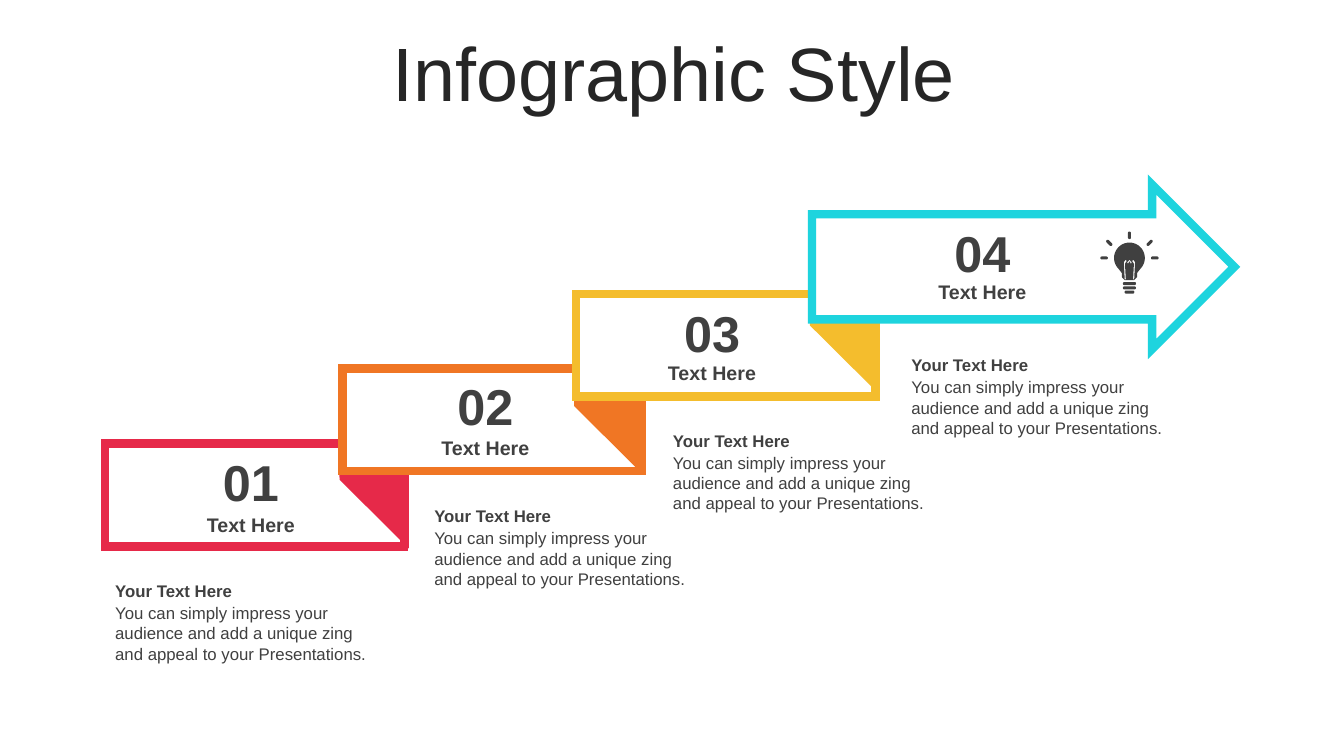
from math import cos, radians, sin

from lxml.etree import SubElement
from pptx import Presentation
from pptx.dml.color import RGBColor
from pptx.enum.shapes import MSO_SHAPE
from pptx.enum.text import MSO_ANCHOR, MSO_AUTO_SIZE, PP_ALIGN
from pptx.oxml.ns import qn
from pptx.util import Pt

WHITE = RGBColor(0xFF, 0xFF, 0xFF)
INK = RGBColor(0x26, 0x26, 0x26)
GREY = RGBColor(0x40, 0x40, 0x40)
RED = RGBColor(0xE6, 0x29, 0x49)
ORANGE = RGBColor(0xF0, 0x76, 0x24)
YELLOW = RGBColor(0xF4, 0xBD, 0x2D)
CYAN = RGBColor(0x1E, 0xD4, 0xDE)

BODY = ("You can simply impress your audience and add a unique zing "
        "and appeal to your Presentations.")
BAND_SIZE = (213.8, 73.4)
FOLD = [(0, 0), (43.9, 43.2), (43.9, 116.6), (0.4, 73.4)]
BANDS = [
    (RED, (75, 316.9), (245.1, 268)),
    (ORANGE, (244.8, 263.1), (412.7, 215.4)),
    (YELLOW, (411.5, 209.9), (581.1, 157.8)),
]
STEPS = [
    ("01", 179.2, 318.6, 362.9, (75.2, 411.2, 203.8)),
    ("02", 346.7, 264.4, 307.6, (303.1, 357.8, 195.1)),
    ("03", 508.6, 212.1, 254.2, (473.6, 303.8, 195.1)),
    ("04", 701.7, 154.9, 196.6, (643.9, 250, 195.1)),
]
BULB = (806.8, 184.3)
RAYS = [(-18.1, 0, 0), (18.1, 0, 0), (0, -16.2, 90), (14.4, -10.8, -45), (-14.4, -10.8, 45)]
RUNGS = [(0, 18.3, 0, 9.4), (0, 21.4, 0, 9.4), (0, 24.4, 0, 7)]


def paint(shape, fill, line=None):
    shape.shadow.inherit = False
    shape.fill.solid()
    shape.fill.fore_color.rgb = fill
    if line is None:
        shape.line.fill.background()
        return
    shape.line.color.rgb = line
    shape.line.width = Pt(6)
    SubElement(shape.line._get_or_add_ln(), qn("a:miter"), lim="800000")


def add_preset(page, kind, left, top, width, height):
    return page.shapes.add_shape(kind, Pt(left), Pt(top), Pt(width), Pt(height))


def add_outline(page, origin, contours):
    builder = None
    for contour in contours:
        corners = [(Pt(origin[0] + x), Pt(origin[1] + y)) for x, y in contour]
        if builder is None:
            builder = page.shapes.build_freeform(*corners[0], scale=1.0)
        else:
            builder.move_to(*corners[0])
        builder.add_line_segments(corners[1:], close=True)
    return builder.convert_to_shape()


def add_text(page, text, left, top, width, height, font, align=PP_ALIGN.LEFT):
    box = page.shapes.add_textbox(Pt(left), Pt(top), Pt(width), Pt(height))
    frame = box.text_frame
    frame.word_wrap = True
    frame.auto_size = MSO_AUTO_SIZE.SHAPE_TO_FIT_TEXT
    para = frame.paragraphs[0]
    para.alignment = align
    span = para.add_run()
    span.text = text
    values = {"name": "Arial", "size": Pt(font["size"]), "bold": font.get("bold", False)}
    for name, value in values.items():
        setattr(span.font, name, value)
    span.font.color.rgb = font.get("color", GREY)
    return box


def add_title(page):
    box = add_text(page, "Infographic Style", 25.5, 26.6, 911.5, 56.9,
                   {"size": 54, "color": INK}, PP_ALIGN.CENTER)
    frame = box.text_frame
    frame.auto_size = MSO_AUTO_SIZE.NONE
    frame.vertical_anchor = MSO_ANCHOR.MIDDLE
    frame.paragraphs[0].line_spacing = 0.9


def add_band(page, color, corner, fold_corner):
    band = add_preset(page, MSO_SHAPE.RECTANGLE, *corner, *BAND_SIZE)
    paint(band, WHITE, color)
    paint(add_outline(page, fold_corner, [FOLD]), color, color)


def add_arrow(page):
    arrow = add_preset(page, MSO_SHAPE.RIGHT_ARROW, 580, 131.9, 301.7, 117.4)
    arrow.adjustments[0] = 0.639
    arrow.adjustments[1] = 0.5
    paint(arrow, WHITE, CYAN)


def add_step(page, number, center, number_top, label_top, caption):
    left, top, width = caption
    add_text(page, number, center - 30.2, number_top, 60.5, 51.1,
             {"size": 36, "bold": True}, PP_ALIGN.CENTER)
    add_text(page, "Text Here", center - 46.1, label_top, 92.2, 24.5,
             {"size": 14, "bold": True}, PP_ALIGN.CENTER)
    add_text(page, BODY, left, top + 15.9, width, 51.1, {"size": 12})
    add_text(page, "Your Text Here", left, top, width, 21.6, {"size": 12, "bold": True})


def arc(x, y, radius, start, end, step):
    return [(x + radius * cos(radians(angle)), y + radius * sin(radians(angle)))
            for angle in range(start, end + 1, step)]


def pill(x, y, turn, length=5.4, radius=1.1):
    reach = length / 2 - radius
    dx, dy = reach * cos(radians(turn)), reach * sin(radians(turn))
    return (arc(x + dx, y + dy, radius, turn - 90, turn + 90, 30)
            + arc(x - dx, y - dy, radius, turn + 90, turn + 270, 30))


def add_bulb(page):
    neck = [(5.4, 10.8), (5.4, 13.7), (3.4, 15.8), (-3.4, 15.8), (-5.4, 13.7), (-5.4, 10.8)]
    glass = arc(0, 0, 11, 135, 405, 9) + neck
    crown = [(-4 + 8 * i / 6, 1.2 if i % 2 else 3) for i in range(7)]
    inner_crown = [(0.8 * x, y + 1.2) for x, y in reversed(crown)]
    filament = [(-3.4, 15.3), *crown, (3.4, 15.3), (2.6, 15.3), *inner_crown, (-2.6, 15.3)]
    pills = [pill(*place) for place in RAYS + RUNGS]
    paint(add_outline(page, BULB, [glass, filament] + pills), GREY)


def main():
    deck = Presentation()
    deck.slide_width, deck.slide_height = Pt(960), Pt(540)
    page = deck.slides.add_slide(deck.slide_layouts[6])
    add_title(page)
    for band in BANDS:
        add_band(page, *band)
    add_arrow(page)
    for step in STEPS:
        add_step(page, *step)
    add_bulb(page)
    deck.save("out.pptx")


if __name__ == "__main__":
    main()
